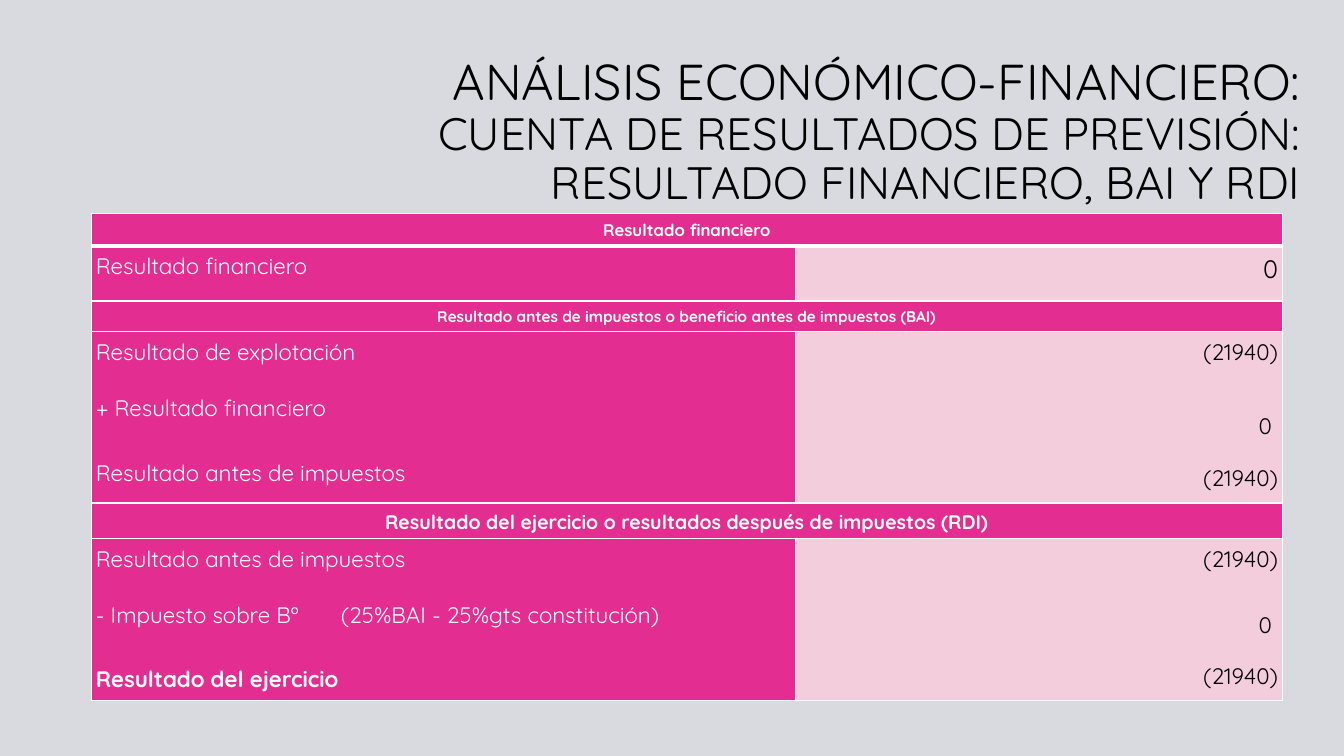
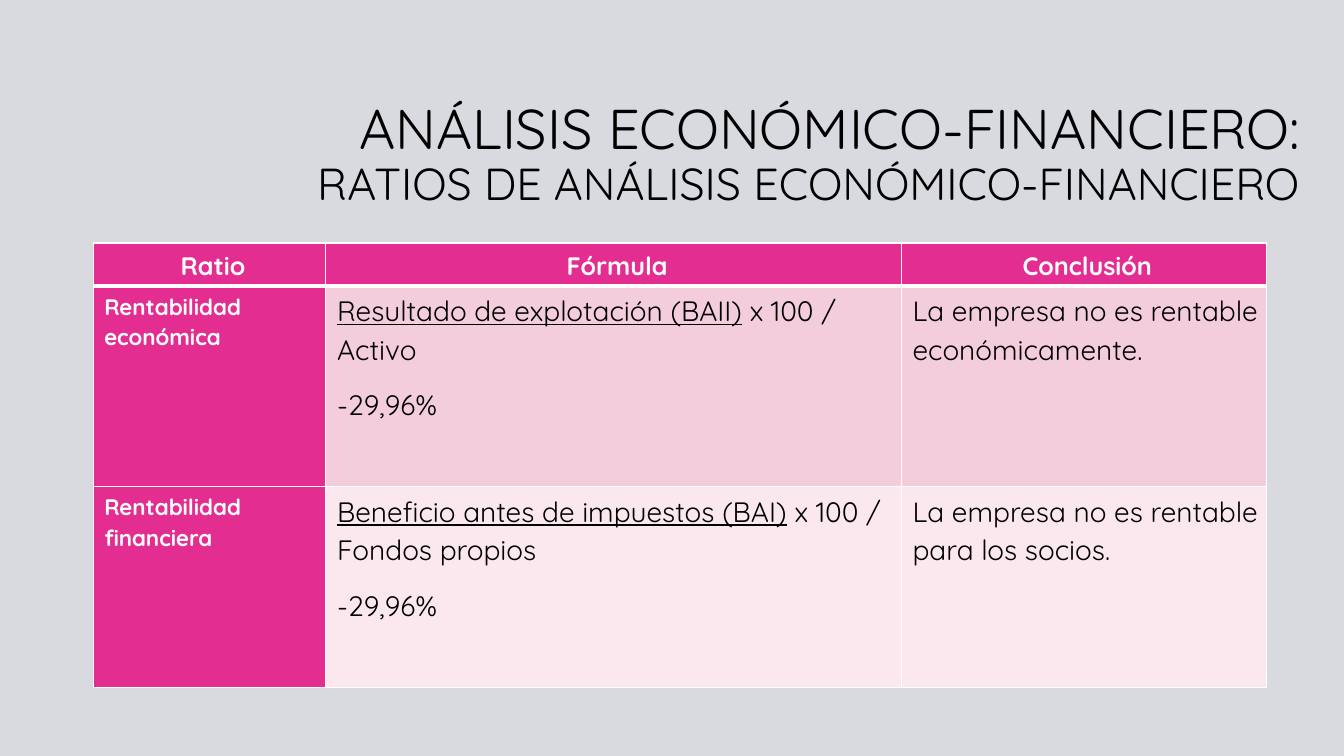
import dataclasses

import pptx
import pptx.dml.color
import pptx.enum.text
import pptx.oxml
import pptx.oxml.ns
import pptx.util

Pt = pptx.util.Pt
Align = pptx.enum.text.PP_ALIGN
Anchor = pptx.enum.text.MSO_ANCHOR


@dataclasses.dataclass(frozen=True)
class Theme:
    font: str = "Quicksand"
    background: str = "D9DADF"
    ink: str = "000000"
    white: str = "FFFFFF"
    accent: str = "E32D91"
    band: str = "F4CDDC"
    light_band: str = "FAE8EE"
    label_size: float = 16
    header_size: float = 18
    body_size: float = 20
    inset: float = 3
    thin: float = 1
    thick: float = 3


THEME = Theme()


@dataclasses.dataclass
class Line:
    """One paragraph of a table cell; the underlined part comes first."""
    text: str
    size: float = THEME.label_size
    align: Align = Align.LEFT
    before: float = 0
    after: float = 6
    bold: bool = False
    underlined: str = ""
    indent: float = 0
    tab: float = 0


@dataclasses.dataclass
class Cell:
    lines: list
    fill: str = THEME.accent
    color: str = THEME.white
    span: int = 1


# Cell builders
def section(text, size):
    return [Cell([Line(text, size, Align.CENTER, 2, 2, True)], span=2)]


def labels(*texts, bold_last=False, tab=0):
    last = len(texts) - 1
    return Cell([Line(text, align=Align.JUSTIFY,
                      before=12 if i else 6,
                      after=12 if 0 < i < last else 6,
                      bold=bold_last and i == last,
                      tab=tab if "\t" in text else 0)
                 for i, text in enumerate(texts)])


def amounts(first, middle, total, gap):
    return Cell([Line(first, align=Align.RIGHT, before=3, after=3),
                 Line(middle, align=Align.RIGHT, before=gap, after=12),
                 Line(total, align=Align.RIGHT, before=3, after=3)],
                THEME.band, THEME.ink)


def ratio_header(text):
    return Cell([Line(text, THEME.header_size, Align.CENTER, bold=True, indent=5)])


def ratio_row(name, numerator, denominator, value, conclusion, fill):
    body = dict(size=THEME.body_size, indent=5)
    return [
        Cell([Line(name, bold=True, indent=5)]),
        Cell([Line(f" x 100 / {denominator}", underlined=numerator, after=12, **body),
              Line(value, after=12, **body)], fill, THEME.ink),
        Cell([Line(conclusion, **body)], fill, THEME.ink),
    ]


# Content
SLIDES = [
    dict(
        title=[("ANÁLISIS ECONÓMICO-FINANCIERO:", 36),
               ("CUENTA DE RESULTADOS DE PREVISIÓN:", 32.4),
               ("RESULTADO FINANCIERO, BAI Y RDI", 32.4)],
        title_box=(223.9, 44.6, 712.1, 101.5),
        table_at=(65.5, 152.6),
        columns=[502.6, 347.8],
        rows=[22.9, 39.6, 21.8, 122.4, 24, 115.9],
        cells=[
            section("Resultado financiero", 12),
            [labels("Resultado financiero"),
             Cell([Line("0", 18, Align.RIGHT, 3, 3)], THEME.band, THEME.ink)],
            section("Resultado antes de impuestos o beneficio antes de impuestos (BAI)", 11),
            [labels("Resultado de explotación", "+ Resultado financiero",
                    "Resultado antes de impuestos"),
             amounts("(21940)", "0 ", "(21940)", gap=28)],
            section("Resultado del ejercicio o resultados después de impuestos (RDI)", 14),
            [labels("Resultado antes de impuestos",
                    "- Impuesto sobre Bº\t(25%BAI - 25%gts constitución)",
                    "Resultado del ejercicio", bold_last=True, tab=175),
             amounts("(21940)", "0 ", "(21940)", gap=22)],
        ],
    ),
    dict(
        title=[("ANÁLISIS ECONÓMICO-FINANCIERO:", 40),
               ("RATIOS DE ANÁLISIS ECONÓMICO-FINANCIERO", 32)],
        title_box=(185.8, 60.5, 750.2, 101.5),
        table_at=(66.5, 173.5),
        columns=[166.3, 411.1, 260.6],
        rows=[30.2, 143.3, 143.3],
        cells=[
            [ratio_header(text) for text in ("Ratio", "Fórmula", "Conclusión")],
            ratio_row("Rentabilidad económica", "Resultado de explotación (BAII)",
                      "Activo", "-29,96%",
                      "La empresa no es rentable económicamente.", THEME.band),
            ratio_row("Rentabilidad financiera", "Beneficio antes de impuestos (BAI)",
                      "Fondos propios", "-29,96%",
                      "La empresa no es rentable para los socios.", THEME.light_band),
        ],
    ),
]


# Drawing helpers
def rgb(value):
    return pptx.dml.color.RGBColor.from_string(value)


def format_run(run, size, color, bold=False):
    run.font.name = THEME.font
    run.font.size = Pt(size)
    run.font.bold = bold
    run.font.color.rgb = rgb(color)


def add_title(slide, lines, box):
    title = slide.shapes.title
    title.left, title.top, title.width, title.height = map(Pt, box)
    frame = title.text_frame
    frame.text = "\n".join(text for text, _ in lines)
    frame.word_wrap = True
    frame.auto_size = pptx.enum.text.MSO_AUTO_SIZE.NONE
    frame.vertical_anchor = Anchor.MIDDLE
    for paragraph, (_, size) in zip(frame.paragraphs, lines):
        paragraph.alignment = Align.RIGHT
        paragraph.line_spacing = 0.9
        format_run(paragraph.runs[0], size, THEME.ink)


def set_borders(cell, row):
    """White rules, with a thick one below the first row."""
    widths = dict(L=THEME.thin, R=THEME.thin,
                  T=THEME.thick if row == 1 else THEME.thin,
                  B=THEME.thick if row == 0 else THEME.thin)
    properties = cell._tc.get_or_add_tcPr()
    for side, width in widths.items():
        properties.append(pptx.oxml.parse_xml(
            f'<a:ln{side} {pptx.oxml.ns.nsdecls("a")} w="{int(Pt(width))}">'
            f'<a:solidFill><a:srgbClr val="{THEME.white}"/></a:solidFill></a:ln{side}>'))


def write_line(paragraph, line, color):
    paragraph.text = line.underlined or line.text
    if line.underlined:
        paragraph.runs[0].font.underline = True
        paragraph.add_run().text = line.text
    for run in paragraph.runs:
        format_run(run, line.size, color, line.bold)
    paragraph.alignment = line.align
    paragraph.line_spacing = 1.1
    paragraph.space_before = Pt(line.before)
    paragraph.space_after = Pt(line.after)
    properties = paragraph._p.get_or_add_pPr()
    if line.indent:
        properties.set("marL", str(int(Pt(line.indent))))
        properties.set("indent", "0")
    if line.tab:
        properties.append(pptx.oxml.parse_xml(
            f'<a:tabLst {pptx.oxml.ns.nsdecls("a")}>'
            f'<a:tab pos="{int(Pt(line.tab))}" algn="l"/></a:tabLst>'))


def fill_cell(cell, content):
    cell.margin_left = cell.margin_right = Pt(THEME.inset)
    cell.margin_top = cell.margin_bottom = Pt(THEME.inset)
    frame = cell.text_frame
    for i, line in enumerate(content.lines):
        paragraph = frame.add_paragraph() if i else frame.paragraphs[0]
        write_line(paragraph, line, content.color)


def add_table(slide, position, columns, rows, cells):
    left, top = position
    table = slide.shapes.add_table(len(rows), len(columns), Pt(left), Pt(top),
                                   Pt(sum(columns)), Pt(sum(rows))).table
    for column, width in zip(table.columns, columns):
        column.width = Pt(width)
    for row, height in zip(table.rows, rows):
        row.height = Pt(height)
    for r, row_cells in enumerate(cells):
        for c, content in enumerate(row_cells):
            cell = table.cell(r, c)
            if content.span > 1:
                cell.merge(table.cell(r, c + content.span - 1))
            for covered in range(c, c + content.span):
                part = table.cell(r, covered)
                set_borders(part, r)
                part.fill.solid()
                part.fill.fore_color.rgb = rgb(content.fill)
            fill_cell(cell, content)


def main():
    presentation = pptx.Presentation()
    presentation.slide_width, presentation.slide_height = Pt(960), Pt(540)
    background = presentation.slide_master.background.fill
    background.solid()
    background.fore_color.rgb = rgb(THEME.background)
    title_only = presentation.slide_layouts[5]
    for content in SLIDES:
        slide = presentation.slides.add_slide(title_only)
        add_title(slide, content["title"], content["title_box"])
        add_table(slide, content["table_at"], content["columns"],
                  content["rows"], content["cells"])
    presentation.save("out.pptx")


if __name__ == "__main__":
    main()
